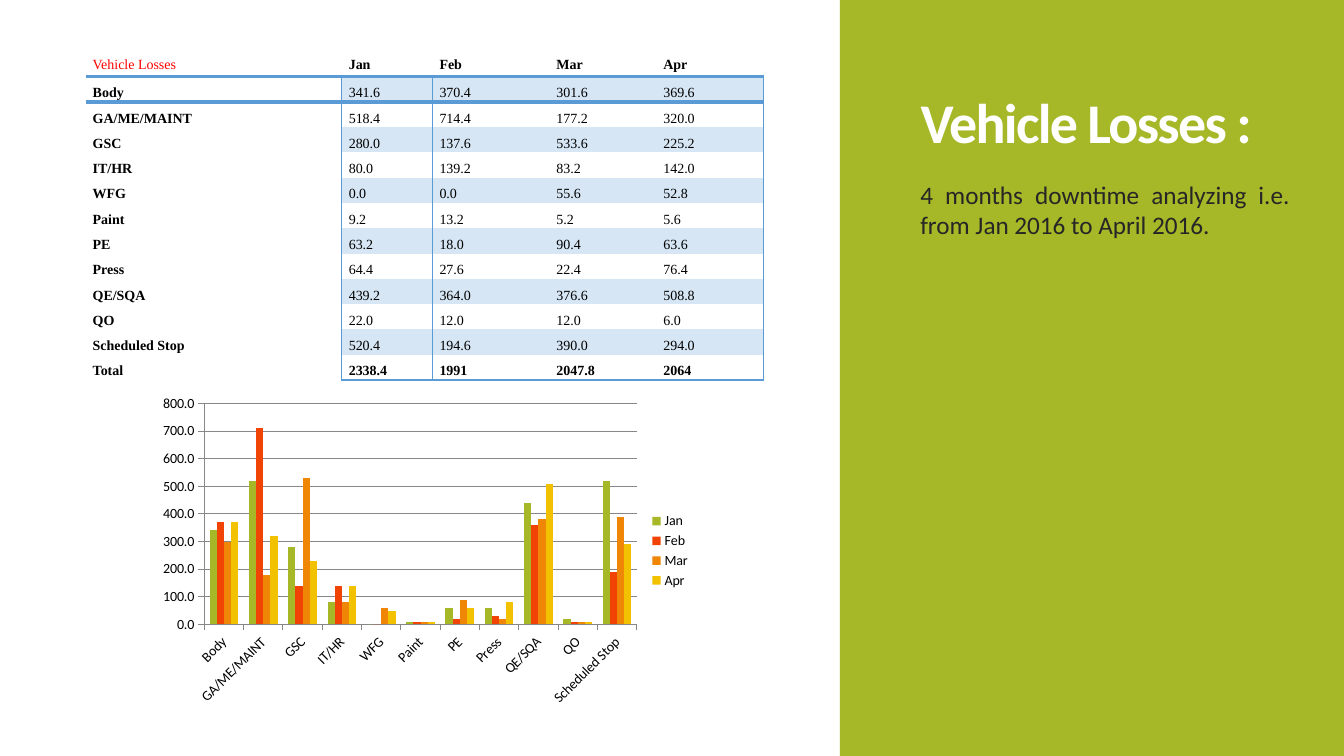
from dataclasses import dataclass

import pptx
import pptx.chart.data
import pptx.dml.color
import pptx.enum.chart
import pptx.enum.shapes
import pptx.enum.text
import pptx.oxml
import pptx.oxml.ns
import pptx.util
from pptx.util import Inches

GREEN = pptx.dml.color.RGBColor(0xA6, 0xB7, 0x27)
RED_ORANGE = pptx.dml.color.RGBColor(0xF0, 0x43, 0x04)
ORANGE = pptx.dml.color.RGBColor(0xEF, 0x86, 0x06)
YELLOW = pptx.dml.color.RGBColor(0xF2, 0xC1, 0x00)
WHITE = pptx.dml.color.RGBColor(0xFF, 0xFF, 0xFF)
BLACK = pptx.dml.color.RGBColor(0, 0, 0)
CHARCOAL = pptx.dml.color.RGBColor(0x26, 0x26, 0x26)
RED = pptx.dml.color.RGBColor(0xFF, 0, 0)
BLUE = pptx.dml.color.RGBColor(0x5B, 0x9B, 0xD5)
PALE_BLUE = pptx.dml.color.RGBColor(0xD6, 0xE6, 0xF4)
GRID_GREY = pptx.dml.color.RGBColor(0x87, 0x87, 0x87)

PLAIN_TABLE_STYLE = "{2D5ABB26-0587-4C30-8999-92F81FD0307C}"
COLUMN_WIDTHS = (2.54, 0.9, 1.16, 1.06, 1.06)
HEADER_HEIGHT, ROW_HEIGHT = 0.32, 0.16  # rows grow to fit their text
TABLE_HEIGHT = 3.32


@dataclass(frozen=True)
class Month:
    name: str
    color: pptx.dml.color.RGBColor
    total: str


@dataclass(frozen=True)
class Loss:
    department: str
    hours: tuple[float, ...]


@dataclass(frozen=True)
class TextStyle:
    font: str
    size: float
    color: pptx.dml.color.RGBColor
    bold: bool = False


MONTHS = (
    Month("Jan", GREEN, "2338.4"),
    Month("Feb", RED_ORANGE, "1991"),
    Month("Mar", ORANGE, "2047.8"),
    Month("Apr", YELLOW, "2064"),
)
LOSSES = (
    Loss("Body", (341.6, 370.4, 301.6, 369.6)),
    Loss("GA/ME/MAINT", (518.4, 714.4, 177.2, 320.0)),
    Loss("GSC", (280.0, 137.6, 533.6, 225.2)),
    Loss("IT/HR", (80.0, 139.2, 83.2, 142.0)),
    Loss("WFG", (0.0, 0.0, 55.6, 52.8)),
    Loss("Paint", (9.2, 13.2, 5.2, 5.6)),
    Loss("PE", (63.2, 18.0, 90.4, 63.6)),
    Loss("Press", (64.4, 27.6, 22.4, 76.4)),
    Loss("QE/SQA", (439.2, 364.0, 376.6, 508.8)),
    Loss("QO", (22.0, 12.0, 12.0, 6.0)),
    Loss("Scheduled Stop", (520.4, 194.6, 390.0, 294.0)),
)


def add_span(para, text: str, style: TextStyle):
    span = para.add_run()
    span.text = text
    span.font.name = style.font
    span.font.size = pptx.util.Pt(style.size)
    span.font.bold = style.bold
    span.font.color.rgb = style.color
    return span


def add_panel(page) -> None:
    panel = page.shapes.add_shape(
        pptx.enum.shapes.MSO_SHAPE.RECTANGLE, Inches(8.33), 0, Inches(5), Inches(7.5))
    panel.shadow.inherit = False
    panel.fill.solid()
    panel.fill.fore_color.rgb = GREEN
    panel.line.fill.background()
    page.shapes.element.insert(2, panel.element)  # behind the title


def fill_title(page) -> None:
    title = page.shapes.title
    title.left, title.top = Inches(9.03), Inches(0.59)
    title.width, title.height = Inches(3.7), Inches(1)
    frame = title.text_frame
    frame.auto_size = pptx.enum.text.MSO_AUTO_SIZE.NONE
    frame.vertical_anchor = pptx.enum.text.MSO_ANCHOR.BOTTOM
    para = frame.paragraphs[0]
    para.alignment = pptx.enum.text.PP_ALIGN.LEFT
    para.line_spacing = 0.85
    span = add_span(para, "Vehicle Losses :", TextStyle("Calibri", 40, WHITE, True))
    span.font._element.set("spc", "-120")


def add_summary(page) -> None:
    box = page.shapes.add_textbox(Inches(9.03), Inches(1.73), Inches(3.86), Inches(5))
    box.text_frame.word_wrap = True
    para = box.text_frame.paragraphs[0]
    para.alignment = pptx.enum.text.PP_ALIGN.JUSTIFY
    add_span(para, "4 months downtime analyzing i.e. from Jan 2016 to April 2016.",
             TextStyle("Calibri", 18, CHARCOAL))


def set_borders(cell, widths: dict[str, int]) -> None:
    """Draw the given sides, with widths in points."""
    properties = cell._tc.get_or_add_tcPr()
    for side in "LRTB":
        if side in widths:
            properties.append(pptx.oxml.parse_xml(
                f'<a:ln{side} {pptx.oxml.ns.nsdecls("a")} w="{pptx.util.Pt(widths[side])}">'
                f'<a:solidFill><a:srgbClr val="{BLUE}"/></a:solidFill></a:ln{side}>'))


def cell_borders(row: int, column: int, last_row: int, last_column: int) -> dict[str, int]:
    if row == 0:
        return {"B": 3}
    widths = {"T": 3} if row == 1 else {}
    if column in (0, last_column):
        widths["R"] = 1
    if column == 1:
        widths["L"] = 1
    if row == last_row and column > 0:
        widths["B"] = 1
    return widths


def add_loss_table(page) -> None:
    rows = [("Vehicle Losses", *(month.name for month in MONTHS))]
    rows += [(loss.department, *(f"{value:.1f}" for value in loss.hours)) for loss in LOSSES]
    rows.append(("Total", *(month.total for month in MONTHS)))
    last_row, last_column = len(rows) - 1, len(MONTHS)
    frame = page.shapes.add_table(
        len(rows), len(COLUMN_WIDTHS), Inches(0.85), Inches(0.44),
        Inches(sum(COLUMN_WIDTHS)), Inches(TABLE_HEIGHT))
    table = frame.table
    table.first_row = table.horz_banding = False
    table._tbl.tblPr.find(pptx.oxml.ns.qn("a:tableStyleId")).text = PLAIN_TABLE_STYLE
    for column, width in zip(table.columns, COLUMN_WIDTHS):
        column.width = Inches(width)
    for r, texts in enumerate(rows):
        table.rows[r].height = Inches(ROW_HEIGHT if r else HEADER_HEIGHT)
        for c, text in enumerate(texts):
            cell = table.cell(r, c)
            cell.margin_left = cell.margin_right = Inches(0.07)
            cell.margin_top = cell.margin_bottom = 0
            cell.vertical_anchor = pptx.enum.text.MSO_ANCHOR.MIDDLE
            set_borders(cell, cell_borders(r, c, last_row, last_column))
            cell.fill.solid()
            cell.fill.fore_color.rgb = PALE_BLUE if r % 2 and c else WHITE
            corner = r == c == 0
            bold = not corner and (r in (0, last_row) or c == 0)
            para = cell.text_frame.paragraphs[0]
            para.line_spacing = 1.5
            add_span(para, text,
                     TextStyle("Times New Roman", 10, RED if corner else BLACK, bold))
    frame.height = Inches(TABLE_HEIGHT)


def add_loss_chart(page) -> None:
    data = pptx.chart.data.CategoryChartData(number_format="0.0")
    data.categories = [loss.department for loss in LOSSES]
    for i, month in enumerate(MONTHS):
        data.add_series(month.name, [round(loss.hours[i], -1) for loss in LOSSES])
    chart = page.shapes.add_chart(
        pptx.enum.chart.XL_CHART_TYPE.COLUMN_CLUSTERED,
        Inches(1.51), Inches(3.86), Inches(5.44), Inches(3.21), data).chart
    chart.has_title = False
    chart.font.name = "Calibri"
    chart.font.size = pptx.util.Pt(10)
    chart.font.color.rgb = BLACK
    chart.has_legend = True
    chart.legend.position = pptx.enum.chart.XL_LEGEND_POSITION.RIGHT
    chart.legend.include_in_layout = False
    plot = chart.plots[0]
    plot.gap_width = 150
    plot.vary_by_categories = False
    for series, month in zip(plot.series, MONTHS):
        series.format.fill.solid()
        series.format.fill.fore_color.rgb = month.color
    # Axes
    for axis in (chart.category_axis, chart.value_axis):
        axis.major_tick_mark = pptx.enum.chart.XL_TICK_MARK.OUTSIDE
        axis.format.line.color.rgb = GRID_GREY
        axis.tick_labels.font.size = pptx.util.Pt(10)
    chart.value_axis.major_gridlines.format.line.color.rgb = GRID_GREY
    chart.value_axis.tick_labels.number_format = "0.0"
    chart.value_axis.tick_labels.number_format_is_linked = False
    labels = chart.category_axis._element.find(pptx.oxml.ns.qn("c:txPr"))
    labels.find(pptx.oxml.ns.qn("a:bodyPr")).set("rot", "-2700000")


def main() -> None:
    deck = pptx.Presentation()
    deck.slide_width, deck.slide_height = Inches(13.33), Inches(7.5)
    page = deck.slides.add_slide(deck.slide_layouts[5])
    add_panel(page)
    fill_title(page)
    add_summary(page)
    add_loss_table(page)
    add_loss_chart(page)
    deck.save("out.pptx")


if __name__ == "__main__":
    main()
